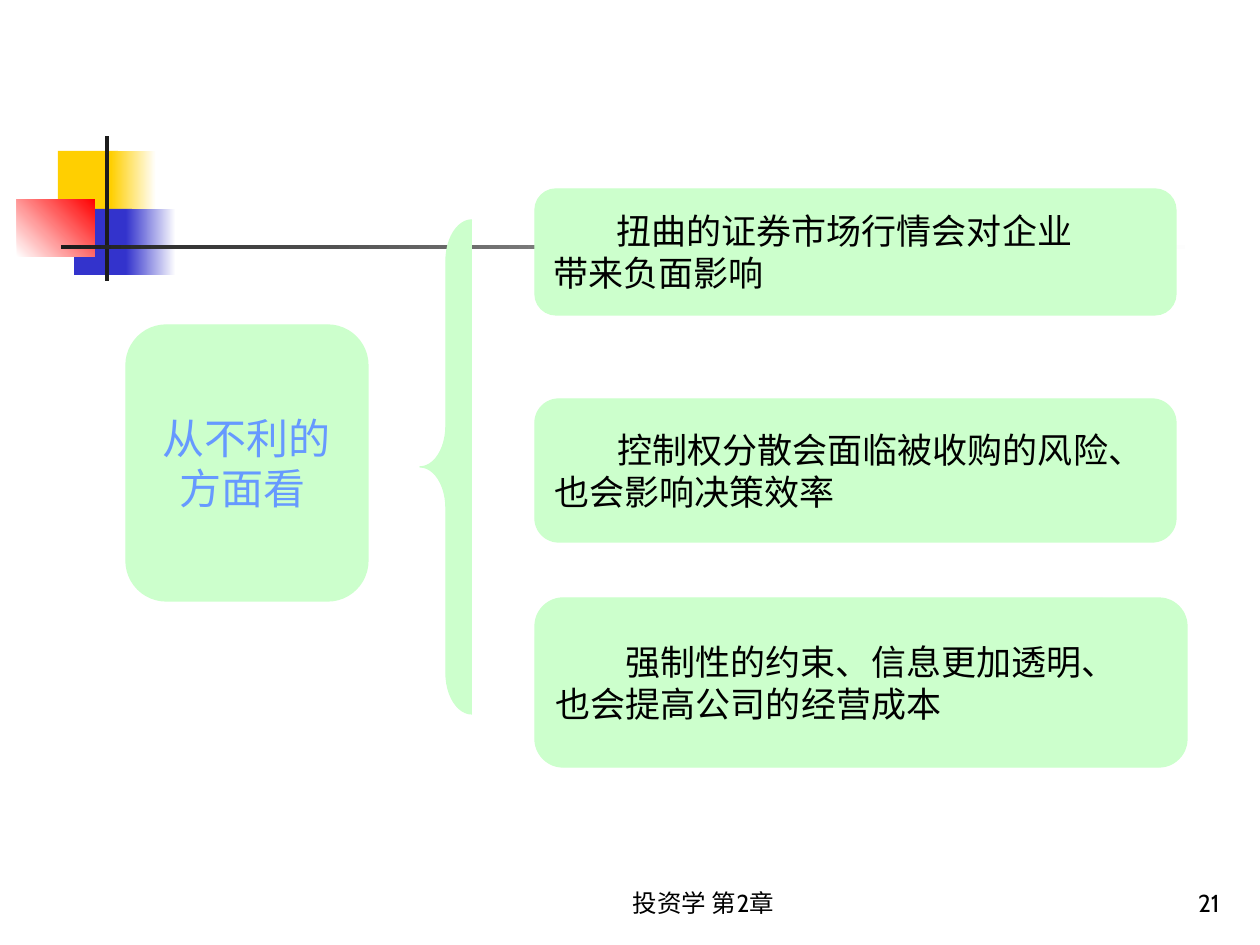
from lxml import etree
from pptx import Presentation
from pptx.dml.color import RGBColor
from pptx.enum.shapes import MSO_SHAPE
from pptx.enum.text import MSO_ANCHOR, PP_ALIGN
from pptx.oxml.ns import qn
from pptx.util import Pt

PX = 914400 / 126
RECT = MSO_SHAPE.RECTANGLE
ROUNDED = MSO_SHAPE.FLOWCHART_ALTERNATE_PROCESS
BRACE = MSO_SHAPE.LEFT_BRACE
MIDDLE, BOTTOM = MSO_ANCHOR.MIDDLE, MSO_ANCHOR.BOTTOM
LEFT, CENTER, RIGHT = PP_ALIGN.LEFT, PP_ALIGN.CENTER, PP_ALIGN.RIGHT
LATIN, CJK = "Cabin", "Noto Sans CJK SC"
COLORS = {
    "yellow": "FFCF01", "blue": "3333CC", "red": "FF0000", "dark": "1C1C1C",
    "white": "FFFFFF", "green": "CCFFCC", "sky": "6699FF", "black": "000000",
}


def px(n):
    return round(n * PX)


def rgb(name):
    return RGBColor.from_string(COLORS[name])


def add_shape(s, kind, box, color, fade_to=None, angle=0, outlined=False):
    """Add a preset shape, solid or fading from color to fade_to."""
    sp = s.shapes.add_shape(kind, *map(px, box))
    sp.shadow.inherit = False
    if fade_to:
        sp.fill.gradient()
        sp.fill.gradient_angle = angle
        for stop, name in zip(sp.fill.gradient_stops, (color, fade_to)):
            stop.color.rgb = rgb(name)
    else:
        sp.fill.solid()
        sp.fill.fore_color.rgb = rgb(color)
    if outlined:
        sp.line.color.rgb = rgb(color)
        sp.line.width = Pt(0.75)
    else:
        sp.line.fill.background()
    return sp


def write(sp, lines, size, color="black", font=LATIN, align=LEFT,
          anchor=MIDDLE, indent=0):
    """Write one paragraph per line; indent applies to the first only."""
    tf = sp.text_frame
    tf.word_wrap = True
    tf.vertical_anchor = anchor
    for i, line in enumerate(lines):
        p = tf.add_paragraph() if i else tf.paragraphs[0]
        p.alignment = align
        if indent and i == 0:
            pPr = p._p.get_or_add_pPr()
            pPr.set("marL", "0")
            pPr.set("indent", str(px(indent)))
        r = p.add_run()
        r.text = line
        r.font.size = Pt(size)
        r.font.name = font
        r.font.color.rgb = rgb(color)
        ea = etree.SubElement(r.font._element, qn("a:ea"))
        ea.set("typeface", CJK)


def add_ornament(s, x, y):
    """Overlapping colour blocks with a crosshair, from its top left corner."""
    parts = [
        ((41, 15, 60, 66), "yellow", None, 0),
        ((94, 15, 45, 66), "yellow", "white", 0),
        ((57, 73, 58, 66), "blue", None, 0),
        ((109, 73, 50, 66), "blue", "white", 0),
        ((0, 63, 78, 58), "white", "red", 45),
        ((88, 0, 4, 145), "dark", None, 0),
        ((44, 109, 1134, 4), "dark", "white", 0),
    ]
    for (dx, dy, w, h), color, fade_to, angle in parts:
        add_shape(s, RECT, (x + dx, y + dy, w, h), color, fade_to, angle)


def add_topic(s, box):
    sp = add_shape(s, ROUNDED, box, "green", outlined=True)
    write(sp, ["从不利的", "方面看 "], 24, "sky", CJK, CENTER)


def add_brace(s, box):
    sp = add_shape(s, BRACE, box, "green", outlined=True)
    sp.adjustments[0] = 0.79


def add_points(s, x, y):
    points = [
        (0, 641, 126, 63, ["扭曲的证券市场行情会对企业", "带来负面影响"]),
        (210, 641, 143, 63, ["控制权分散会面临被收购的风险、", "也会影响决策效率"]),
        (409, 652, 169, 70, ["强制性的约束、信息更加透明、", "也会提高公司的经营成本"]),
    ]
    for dy, w, h, indent, lines in points:
        sp = add_shape(s, ROUNDED, (x, y + dy, w, h), "green", outlined=True)
        write(sp, lines, 20, indent=indent)


def add_footer(s, x, y):
    for dx, w, text, align in [(0, 399, "投资学 第2章", CENTER),
                               (466, 262, "21", RIGHT)]:
        sp = s.shapes.add_textbox(px(x + dx), px(y), px(w), px(63))
        write(sp, [text], 14, align=align, anchor=BOTTOM)


def main():
    prs = Presentation()
    prs.slide_width, prs.slide_height = px(1260), px(945)
    s = prs.slides.add_slide(prs.slide_layouts[6])
    add_ornament(s, 17, 136)
    add_topic(s, (126, 325, 242, 276))
    add_brace(s, (420, 220, 52, 494))
    add_points(s, 535, 189)
    add_footer(s, 504, 861)
    prs.save("out.pptx")


if __name__ == "__main__":
    main()
